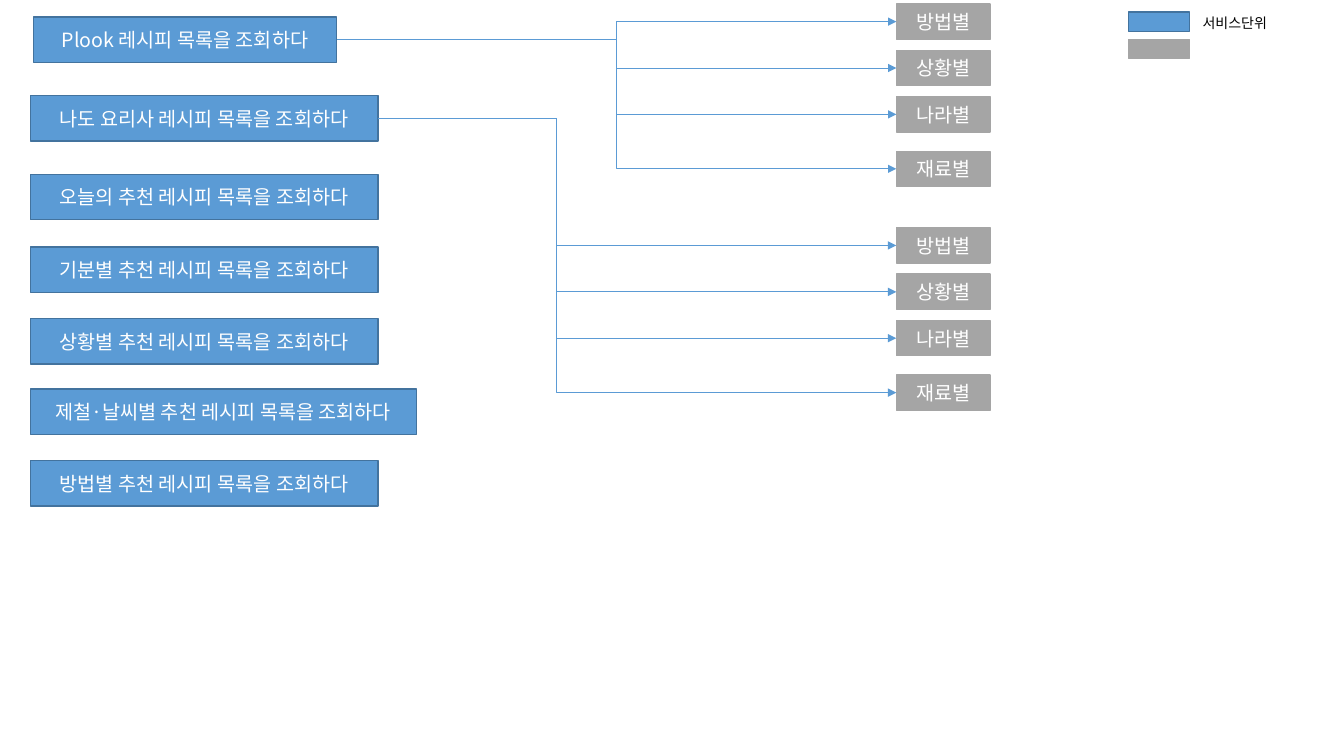
import pptx
import pptx.util
import pptx.dml.color
import pptx.enum.shapes
import pptx.enum.text
import pptx.oxml.ns
from lxml import etree

RGBColor = pptx.dml.color.RGBColor
Inches = pptx.util.Inches
Pt = pptx.util.Pt
qn = pptx.oxml.ns.qn

BLUE = RGBColor(0x5B, 0x9B, 0xD5)
BLUE_EDGE = RGBColor(0x43, 0x73, 0x9E)
GRAY = RGBColor(0xA5, 0xA5, 0xA5)
WHITE = RGBColor(0xFF, 0xFF, 0xFF)
BLACK = RGBColor(0, 0, 0)

# Text, left, top, width
SERVICES = [
    ("Plook 레시피 목록을 조회하다", 0.33, 0.17, 3.01),
    ("나도 요리사 레시피 목록을 조회하다", 0.3, 0.95, 3.45),
    ("오늘의 추천 레시피 목록을 조회하다", 0.3, 1.73, 3.45),
    ("기분별 추천 레시피 목록을 조회하다", 0.3, 2.45, 3.45),
    ("상황별 추천 레시피 목록을 조회하다", 0.3, 3.16, 3.45),
    ("제철·날씨별 추천 레시피 목록을 조회하다", 0.3, 3.86, 3.83),
    ("방법별 추천 레시피 목록을 조회하다", 0.3, 4.57, 3.45),
]
# Text, offset from the top of its group
CATEGORIES = [("방법별", 0), ("상황별", 0.46), ("나라별", 0.92), ("재료별", 1.46)]
# Service index, group top, position of the bend along the connector
GROUPS = [(0, 0.04, 0.5), (1, 2.26, 0.345)]


class Diagram:
    """Style and current slide of the service diagram."""

    font = "Noto Sans CJK KR"

    def __init__(self, s):
        self.s = s

    def run(self, p, text, size, color):
        r = p.add_run()
        r.text = text
        r.font.size = Pt(size)
        r.font.name = self.font
        r.font.color.rgb = color
        etree.SubElement(r.font._element, qn("a:ea"), typeface=self.font)

    def box(self, left, top, width, height, fill, edge, text=""):
        sp = self.s.shapes.add_shape(
            pptx.enum.shapes.MSO_SHAPE.RECTANGLE,
            Inches(left), Inches(top), Inches(width), Inches(height))
        sp.shadow.inherit = False
        sp.fill.solid()
        sp.fill.fore_color.rgb = fill
        sp.line.color.rgb = edge
        sp.line.width = Pt(1)
        if text:
            tf = sp.text_frame
            tf.vertical_anchor = pptx.enum.text.MSO_ANCHOR.MIDDLE
            p = tf.paragraphs[0]
            p.alignment = pptx.enum.text.PP_ALIGN.CENTER
            self.run(p, text, 14, WHITE)
        return sp

    def label(self, left, top, width, height, text):
        tb = self.s.shapes.add_textbox(
            Inches(left), Inches(top), Inches(width), Inches(height))
        tf = tb.text_frame
        tf.word_wrap = True
        tf.auto_size = pptx.enum.text.MSO_AUTO_SIZE.SHAPE_TO_FIT_TEXT
        self.run(tf.paragraphs[0], text, 10, BLACK)

    def arrow(self, source, target, bend):
        """Join the right side of source to the left side of target."""
        c = self.s.shapes.add_connector(
            pptx.enum.shapes.MSO_CONNECTOR.ELBOW, 0, 0, 0, 0)
        c.begin_connect(source, 3)
        c.end_connect(target, 1)
        c.line.color.rgb = BLUE
        c.line.width = Pt(0.5)
        spPr = c._element.spPr
        etree.SubElement(spPr.find(qn("a:ln")), qn("a:tailEnd"), type="triangle")
        etree.SubElement(spPr, qn("a:effectLst"))
        guides = spPr.find(qn("a:prstGeom")).find(qn("a:avLst"))
        etree.SubElement(guides, qn("a:gd"), name="adj1",
                         fmla=f"val {round(bend * 100000)}")


def main():
    prs = pptx.Presentation()
    prs.slide_width = Inches(13.33)
    prs.slide_height = Inches(7.5)
    d = Diagram(prs.slides.add_slide(prs.slide_layouts[6]))

    services = [d.box(left, top, width, 0.45, BLUE, BLUE_EDGE, text)
                for text, left, top, width in SERVICES]
    for index, group_top, bend in GROUPS:
        for text, offset in CATEGORIES:
            category = d.box(8.89, group_top + offset, 0.93, 0.35,
                             GRAY, GRAY, text)
            d.arrow(services[index], category, bend)

    d.box(11.19, 0.12, 0.61, 0.19, BLUE, BLUE_EDGE)
    d.box(11.19, 0.39, 0.61, 0.19, GRAY, GRAY)
    d.label(11.83, 0.09, 0.94, 0.27, "서비스단위")
    prs.save("out.pptx")


if __name__ == "__main__":
    main()
